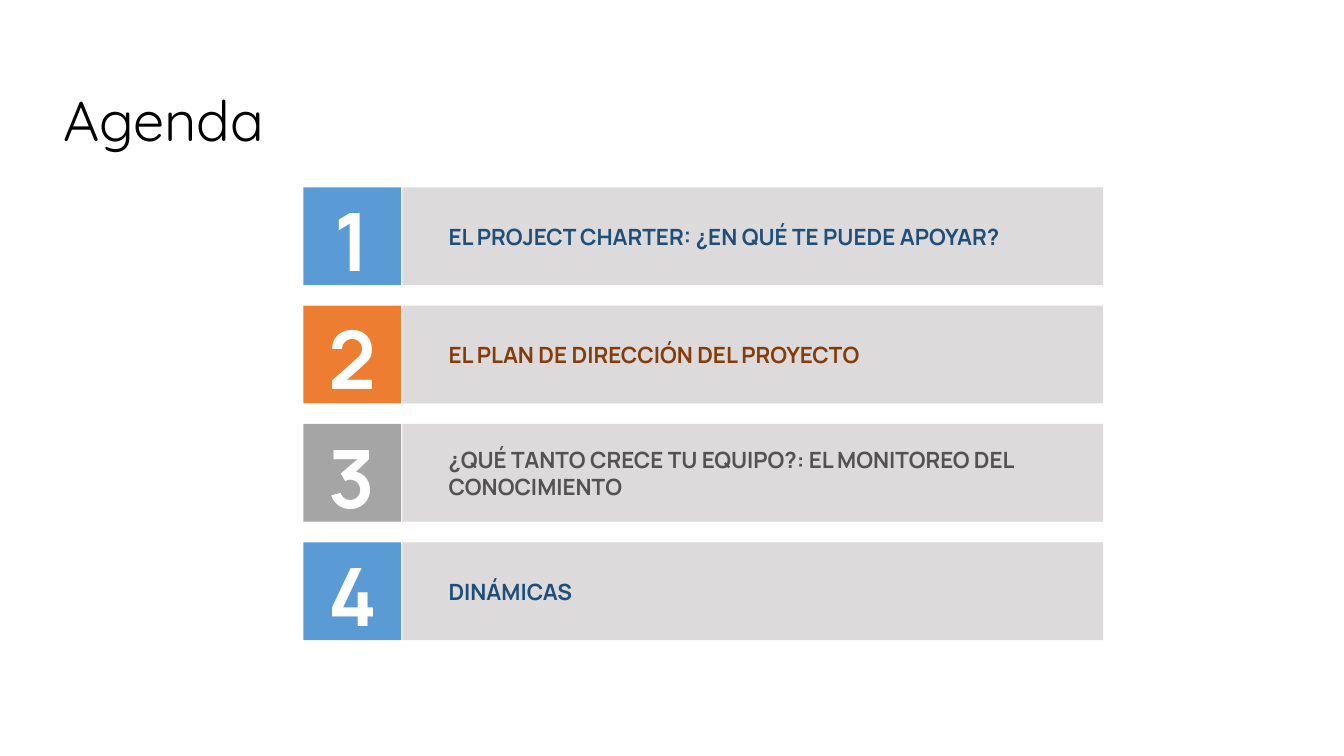
import pptx
import pptx.dml.color
import pptx.enum.shapes
import pptx.enum.text
import pptx.util

Inches = pptx.util.Inches
ALIGN = pptx.enum.text.PP_ALIGN
ANCHOR = pptx.enum.text.MSO_ANCHOR

COLORS = {
    "black": "000000", "white": "FFFFFF", "bar": "DCDADA",
    "blue": "5B9BD5", "orange": "ED7D31", "gray": "A5A5A5",
    "dark_blue": "1F4E79", "dark_orange": "843C0B", "dark_gray": "525252",
}

TOPICS = [
    ("EL PROJECT CHARTER: ¿EN QUÉ TE PUEDE APOYAR?", "blue"),
    ("EL PLAN DE DIRECCIÓN DEL PROYECTO", "orange"),
    ("¿QUÉ TANTO CRECE TU EQUIPO?: EL MONITOREO DEL CONOCIMIENTO", "gray"),
    ("DINÁMICAS", "blue"),
]

FIRST_TOP, LAST_TOP = 1.86, 5.38
ROW_PITCH = (LAST_TOP - FIRST_TOP) / (len(TOPICS) - 1)
ROW_HEIGHT = 0.97
LABEL_HEIGHT = 0.64


class AgendaSlide:
    title_font = "Quicksand"
    body_font = "Manrope"

    def __init__(self, presentation):
        self.slide = presentation.slides.add_slide(presentation.slide_layouts[6])

    def color(self, name):
        return pptx.dml.color.RGBColor.from_string(COLORS[name])

    def rectangle(self, left, top, width, height, fill):
        shape = self.slide.shapes.add_shape(
            pptx.enum.shapes.MSO_SHAPE.RECTANGLE,
            Inches(left), Inches(top), Inches(width), Inches(height))
        shape.shadow.inherit = False
        shape.fill.solid()
        shape.fill.fore_color.rgb = self.color(fill)
        shape.line.fill.background()

    def text(self, content, left, top, width, height, size, color, font=body_font,
             bold=True, align=ALIGN.LEFT, anchor=ANCHOR.MIDDLE, wrap=True):
        box = self.slide.shapes.add_textbox(
            Inches(left), Inches(top), Inches(width), Inches(height))
        frame = box.text_frame
        frame.word_wrap = wrap
        frame.vertical_anchor = anchor
        paragraph = frame.paragraphs[0]
        paragraph.text = content
        paragraph.alignment = align
        paragraph.font.name = font
        paragraph.font.size = pptx.util.Pt(size)
        paragraph.font.bold = bold
        paragraph.font.color.rgb = self.color(color)

    def title(self, content):
        self.text(content, 0.53, 0.8, 8.02, 0.77, 40, "black",
                  font=self.title_font, bold=False, anchor=ANCHOR.TOP)

    def topic(self, number, label, color):
        """Draw one agenda row: numbered square, bar and label."""
        top = FIRST_TOP + (number - 1) * ROW_PITCH
        self.rectangle(3.01, top, ROW_HEIGHT, ROW_HEIGHT, color)
        self.rectangle(3.99, top, 6.95, ROW_HEIGHT, "bar")
        self.text(str(number), 3.16, top - 0.02, 0.67, 1.07, 57.5, "white",
                  align=ALIGN.CENTER, wrap=False)
        label_top = top + (ROW_HEIGHT - LABEL_HEIGHT) / 2
        self.text(label, 4.35, label_top, 6.42, LABEL_HEIGHT, 16, "dark_" + color)


def main():
    presentation = pptx.Presentation()
    presentation.slide_width = Inches(13.33)
    presentation.slide_height = Inches(7.5)
    agenda = AgendaSlide(presentation)
    agenda.title("Agenda")
    for number, (label, color) in enumerate(TOPICS, start=1):
        agenda.topic(number, label, color)
    presentation.save("out.pptx")


if __name__ == "__main__":
    main()
